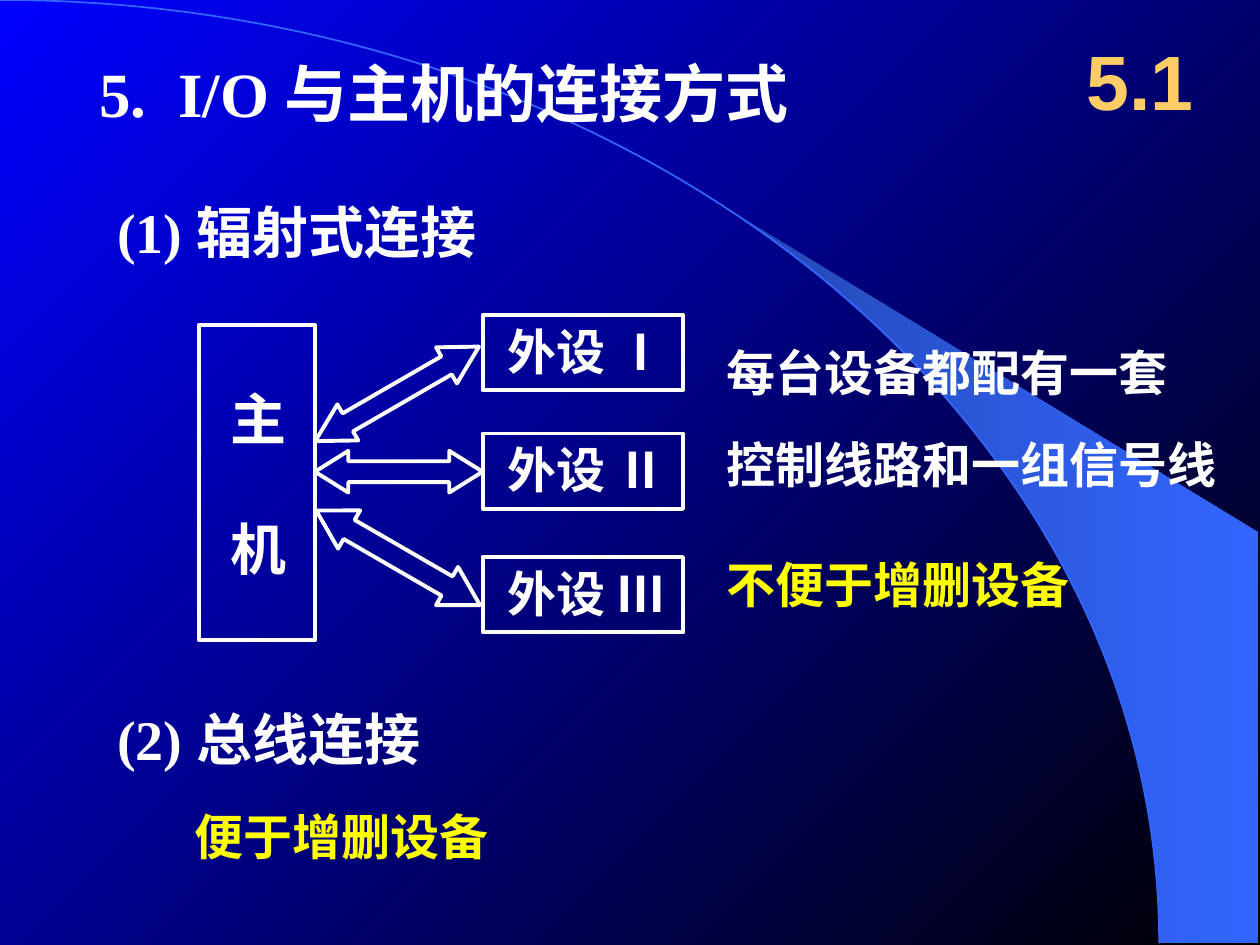
"""Build the slide on the ways I/O devices connect to the host."""
from dataclasses import dataclass

import pptx
import pptx.dml.color
import pptx.enum.lang
import pptx.enum.shapes
import pptx.enum.text
import pptx.util

Cm = pptx.util.Cm
Pt = pptx.util.Pt
RGB = pptx.dml.color.RGBColor.from_string
ALIGN = pptx.enum.text.PP_ALIGN
ANCHOR = pptx.enum.text.MSO_ANCHOR
SHAPE = pptx.enum.shapes.MSO_SHAPE


@dataclass(frozen=True)
class Theme:
    """Colours, fonts and sizes."""
    serif: str = "Times New Roman"
    sans: str = "Arial"
    white: str = "FFFFFF"
    yellow: str = "FFFF00"
    gold: str = "FFCC66"
    arc: str = "3366FF"
    glow: tuple = ("2449B6", "3366FF")
    sky: tuple = ("0000FF", "000000")
    number: int = 44
    title: int = 36
    heading: int = 32
    body: int = 28
    outline: float = 2.25


T = Theme()


@dataclass(frozen=True)
class Box:
    """Left, top, width and height in centimetres."""
    x: float
    y: float
    w: float
    h: float

    def lengths(self) -> list:
        """Return the four values as lengths."""
        return [Cm(v) for v in (self.x, self.y, self.w, self.h)]


@dataclass(frozen=True)
class Label:
    """A text with its place and look."""
    text: str
    box: Box
    size: int = T.body
    color: str = T.white
    font: str = T.serif
    align: ALIGN = ALIGN.LEFT
    anchor: ANCHOR = ANCHOR.TOP


@dataclass(frozen=True)
class Arrow:
    """A double-headed block arrow."""
    box: Box
    head: float
    angle: float = 0


LABELS = [
    Label("(1) 辐射式连接", Box(2.11, 3.86, 10.8, 1.6), T.heading),
    Label("(2) 总线连接", Box(2.11, 14.07, 10, 1.6), T.heading),
    Label("主", Box(4.39, 7.62, 1.65, 1.6), T.heading),
    Label("机", Box(4.39, 10.24, 1.65, 1.6), T.heading),
    Label("不便于增删设备", Box(14.4, 11.05, 8.7, 1.45), color=T.yellow),
    Label("每台设备都配有一套", Box(14.4, 6.78, 9.6, 1.45)),
    Label("控制线路和一组信号线", Box(14.4, 8.64, 10.6, 1.45)),
    Label("5.1", Box(21.39, 0.43, 3.18, 2.34), T.number, T.gold, T.sans,
          ALIGN.CENTER, ANCHOR.MIDDLE),
    Label("便于增删设备", Box(3.68, 16.13, 16.7, 1.45), color=T.yellow),
]
TITLE = Label("5.  I/O 与主机的连接方式", Box(1.75, 0.97, 15.2, 1.78), T.title)
HOST = Box(4.01, 6.55, 2.34, 6.35)
DEVICES = [Label(f"外设 {n}", Box(9.73, y, 4.04, 1.52))
           for n, y in (("Ⅰ", 6.35), ("Ⅱ", 8.74), ("Ⅲ", 11.23))]
ARROWS = [
    Arrow(Box(6.35, 9.09, 3.38, 0.84), 0.8),
    Arrow(Box(6.12, 10.8, 3.81, 0.89), 0.86, 30),
    Arrow(Box(6.1, 7.52, 3.81, 0.84), 0.9, 150),
]
ARC = ((0, 0), (12.9, 0), (23.37, 8.51), (23.37, 19.02))
GLOW_TIP = 14.96
GLOW_EDGE = [(25.37, 19.02), (25.37, 10.74), (GLOW_TIP, 4.39)]


def curve(controls: tuple, steps: int = 80) -> list:
    """Return points along a cubic Bezier curve."""
    points = []
    for i in range(steps + 1):
        t = i / steps
        weights = ((1 - t) ** 3, 3 * t * (1 - t) ** 2, 3 * t * t * (1 - t), t ** 3)
        points.append(tuple(sum(w * c[k] for w, c in zip(weights, controls))
                            for k in (0, 1)))
    return points


def paint_gradient(fill, colors: tuple, angle: float) -> None:
    """Apply a two-colour linear gradient."""
    fill.gradient()
    fill.gradient_angle = angle
    for stop, position, color in zip(fill.gradient_stops, (0, 1), colors):
        stop.position = position
        stop.color.rgb = RGB(color)


def draw_outline(s, points: list, close: bool):
    """Draw a freeform through the points."""
    start, *rest = [(Cm(x), Cm(y)) for x, y in points]
    builder = s.shapes.build_freeform(*start, scale=1.0)
    builder.add_line_segments(rest, close=close)
    sp = builder.convert_to_shape()
    sp.shadow.inherit = False
    return sp


def draw_shape(s, kind: SHAPE, box: Box):
    """Draw an unfilled white-lined preset shape."""
    sp = s.shapes.add_shape(kind, *box.lengths())
    sp.shadow.inherit = False
    sp.fill.background()
    sp.line.color.rgb = RGB(T.white)
    sp.line.width = Pt(T.outline)
    return sp


def write(sp, label: Label) -> None:
    """Write a label into a shape."""
    tf = sp.text_frame
    tf.word_wrap = True
    tf.auto_size = pptx.enum.text.MSO_AUTO_SIZE.NONE
    tf.vertical_anchor = label.anchor
    p = tf.paragraphs[0]
    p.alignment = label.align
    r = p.add_run()
    r.text = label.text
    r.font.name = label.font
    r.font.size = Pt(label.size)
    r.font.bold = True
    r.font.color.rgb = RGB(label.color)
    r.font.language_id = pptx.enum.lang.MSO_LANGUAGE_ID.SIMPLIFIED_CHINESE


def draw_backdrop(s) -> None:
    """Draw the background, the glow and the arc."""
    paint_gradient(s.background.fill, T.sky, 315)
    arc = curve(ARC)
    inner = [point for point in arc if point[0] > GLOW_TIP]
    glow = draw_outline(s, GLOW_EDGE + inner, True)
    paint_gradient(glow.fill, T.glow, 0)
    glow.line.fill.background()
    line = draw_outline(s, arc, False)
    line.fill.background()
    line.line.color.rgb = RGB(T.arc)
    line.line.width = Pt(1)


def draw_title(s) -> None:
    """Place the title in front of the backdrop."""
    sp = s.shapes.title
    sp.left, sp.top, sp.width, sp.height = TITLE.box.lengths()
    write(sp, TITLE)
    sp.element.getparent().append(sp.element)


def draw_diagram(s) -> None:
    """Draw the host, the devices and the arrows between them."""
    draw_shape(s, SHAPE.RECTANGLE, HOST)
    for device in DEVICES:
        sp = draw_shape(s, SHAPE.RECTANGLE, device.box)
        write(sp, device)
        sp.text_frame.margin_left = Cm(0.5)
        sp.text_frame.margin_right = 0
    for arrow in ARROWS:
        sp = draw_shape(s, SHAPE.LEFT_RIGHT_ARROW, arrow.box)
        sp.adjustments[0] = 0.5
        sp.adjustments[1] = arrow.head
        sp.rotation = arrow.angle


def main() -> None:
    """Build and save the slide."""
    prs = pptx.Presentation()
    prs.slide_width, prs.slide_height = Cm(25.4), Cm(19.05)
    s = prs.slides.add_slide(prs.slide_layouts[5])
    draw_backdrop(s)
    draw_title(s)
    draw_diagram(s)
    for label in LABELS:
        write(s.shapes.add_textbox(*label.box.lengths()), label)
    prs.save("out.pptx")


if __name__ == "__main__":
    main()
